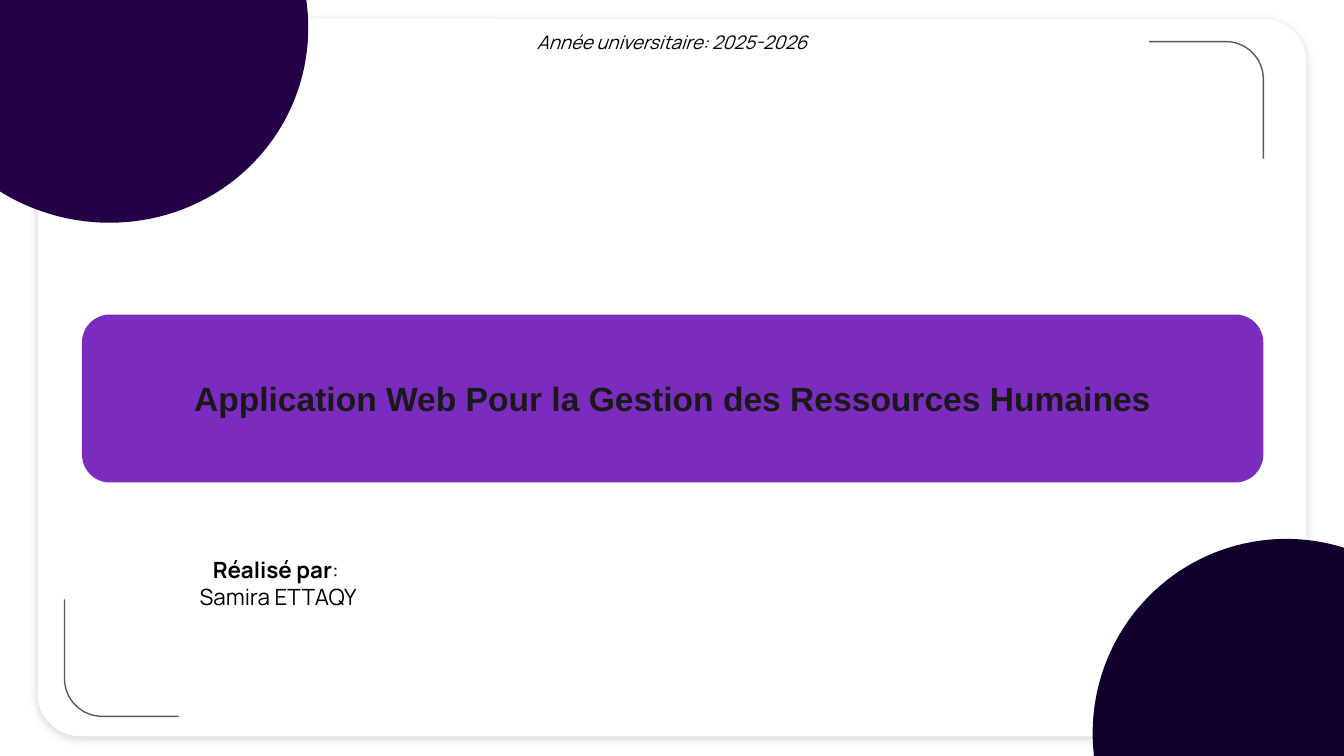
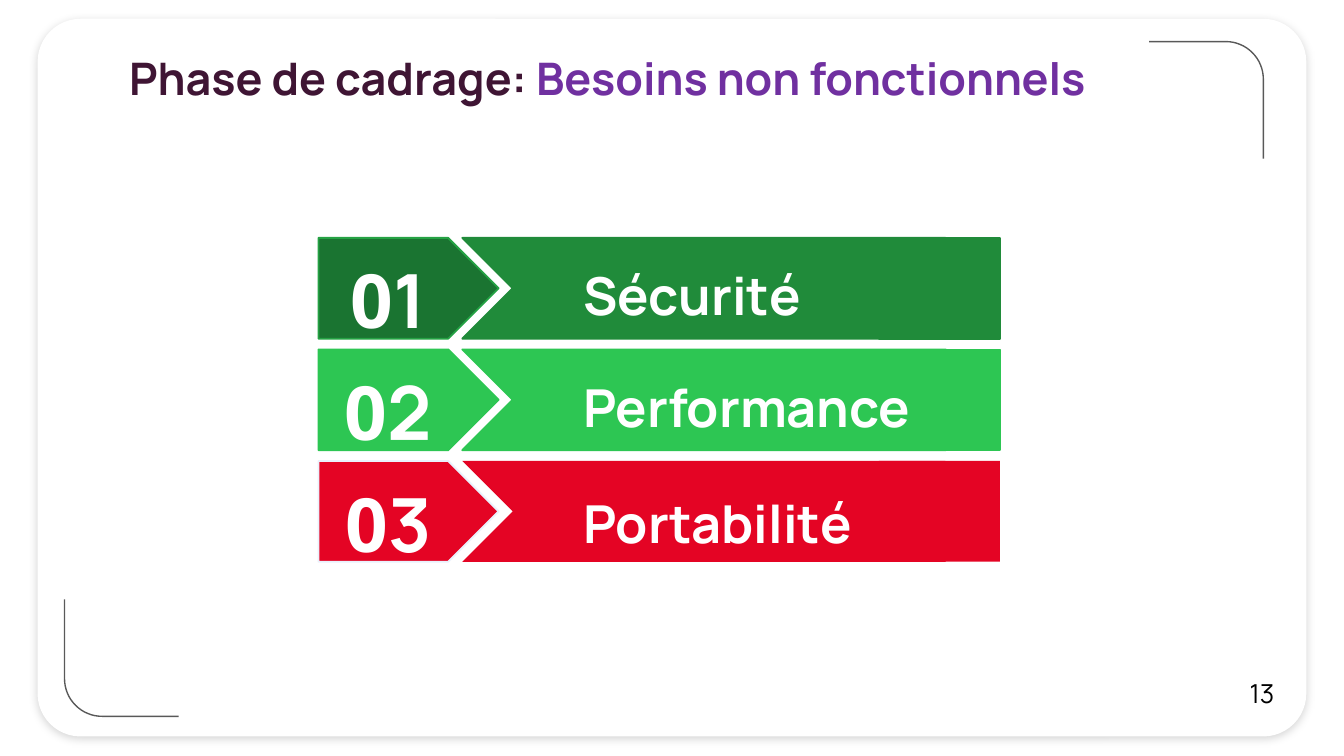
from math import cos, pi, sin

from pptx import Presentation
from pptx.dml.color import RGBColor
from pptx.enum.shapes import MSO_SHAPE
from pptx.enum.text import MSO_ANCHOR, MSO_AUTO_SIZE, PP_ALIGN
from pptx.oxml import parse_xml
from pptx.oxml.ns import nsdecls
from pptx.util import Inches, Pt

ROUND, OVAL, RECT = MSO_SHAPE.ROUNDED_RECTANGLE, MSO_SHAPE.OVAL, MSO_SHAPE.RECTANGLE
ARROW, CHEVRON = MSO_SHAPE.PENTAGON, MSO_SHAPE.CHEVRON
LEFT, CENTER = PP_ALIGN.LEFT, PP_ALIGN.CENTER
TOP, MIDDLE = MSO_ANCHOR.TOP, MSO_ANCHOR.MIDDLE
NO_FIT = MSO_AUTO_SIZE.NONE

WHITE = RGBColor(0xFF, 0xFF, 0xFF)
BLACK = RGBColor(0x00, 0x00, 0x00)
INK = RGBColor(0x19, 0x19, 0x19)
GRAY = RGBColor(0x59, 0x59, 0x59)
NIGHT = RGBColor(0x10, 0x00, 0x2B)
INDIGO = RGBColor(0x24, 0x00, 0x46)
VIOLET = RGBColor(0x7B, 0x2C, 0xBF)
PURPLE = RGBColor(0x70, 0x30, 0xA0)
PLUM = RGBColor(0x3F, 0x15, 0x34)
PINE = RGBColor(0x1A, 0x74, 0x31)
FERN = RGBColor(0x25, 0xA2, 0x44)
LEAF = RGBColor(0x20, 0x8B, 0x3A)
LIME = RGBColor(0x2D, 0xC6, 0x53)
RED = RGBColor(0xE4, 0x04, 0x24)
PALE = RGBColor(0xEA, 0xF1, 0xFC)

# The grid has 100 columns and 56.25 rows of square cells.
COLS, ROWS = 100, 56.25
CELL = Inches(0.1)

YEAR = {"size": Pt(10), "italic": True}
NAME = {"size": Pt(12)}
COVER = {"size": Pt(18), "bold": True, "name": "Arial"}
HEAD = {"size": Pt(24), "bold": True}
LABEL = {"size": Pt(28), "bold": True}
DIGIT = {"size": Pt(40), "bold": True}
PAGE = {"size": Pt(14)}

SHADOW = (
    f'<a:effectLst {nsdecls("a")}><a:outerShdw blurRad="57150" dist="19050" '
    'dir="5400000" algn="bl" rotWithShape="0"><a:srgbClr val="000000">'
    '<a:alpha val="17000"/></a:srgbClr></a:outerShdw></a:effectLst>'
)


def grid(*cells):
    return [round(cell * CELL) for cell in cells]


class Deck:
    """Holds the shared style and the slide being drawn."""

    font = "Manrope"

    def __init__(self):
        self.prs = Presentation()
        self.prs.slide_width, self.prs.slide_height = grid(COLS, ROWS)
        self.slide = None

    def page(self):
        """Start a slide with the white card behind everything."""
        self.slide = self.prs.slides.add_slide(self.prs.slide_layouts[5])
        card = self.shape(ROUND, (2.8, 1.4, 94.4, 53.4), WHITE)
        card.adjustments[0] = 0.06
        props = card._element.spPr
        props.replace(props[-1], parse_xml(SHADOW))

    def shape(self, kind, box, fill, line=None, group=None):
        home = (group or self.slide).shapes
        item = home.add_shape(kind, *grid(*box))
        item.fill.solid()
        item.fill.fore_color.rgb = fill
        if line is None:
            item.line.fill.background()
        else:
            item.line.color.rgb = line
            item.line.width = Pt(1)
        item.shadow.inherit = False
        return item

    def corners(self):
        """Draw the two facing rounded brackets."""
        wide, high, bend = 8.5, 8.7, 2.8
        turns = [pi / 2 * step / 16 for step in range(17)]
        arc = [(wide - bend + bend * sin(t), bend - bend * cos(t)) for t in turns]
        for left, top, turn in ((85.5, 3.1, 0), (4.8, 44.6, 180)):
            pen = self.slide.shapes.build_freeform(*grid(left, top))
            dots = arc + [(wide, high)]
            pen.add_line_segments([grid(left + x, top + y) for x, y in dots], False)
            item = pen.convert_to_shape()
            item.rotation = turn
            item.fill.background()
            item.line.color.rgb = GRAY
            item.line.width = Pt(0.75)
            item.shadow.inherit = False

    def set_text(self, item, paras, look, align, anchor, pad=0.5):
        """Fill a text shape; each paragraph is a list of (text, colour, extra format)."""
        frame = item.text_frame
        frame.auto_size = NO_FIT
        side, edge = grid(1, pad)
        style = {"word_wrap": True, "vertical_anchor": anchor,
                 "margin_left": side, "margin_right": side,
                 "margin_top": edge, "margin_bottom": edge}
        for key, value in style.items():
            setattr(frame, key, value)
        for index, runs in enumerate(paras):
            para = frame.add_paragraph() if index else frame.paragraphs[0]
            para.alignment = align
            for text, color, extra in runs:
                run = para.add_run()
                run.text = text
                form = {"name": self.font, "bold": False} | look | extra
                for key, value in form.items():
                    setattr(run.font, key, value)
                run.font.color.rgb = color

    def text(self, box, paras, look, align=LEFT):
        item = self.slide.shapes.add_textbox(*grid(*box))
        self.set_text(item, paras, look, align, TOP)

    def title(self, box, runs, look, align=LEFT):
        item = self.slide.shapes.title
        item.left, item.top, item.width, item.height = grid(*box)
        self.set_text(item, [runs], look, align, MIDDLE, 1)
        self.slide.shapes._spTree.append(item._element)

    def band(self, row, label, dark, fill, edge, line):
        """Draw one numbered band of the list."""
        high, top = 7.5, 17.7 + 8.3 * row
        self.shape(ARROW, (23.7, top, 13.4, high), dark, edge)
        body = self.slide.shapes.add_group_shape()
        self.shape(CHEVRON, (34.4, top, 39.7, high), fill, line, body)
        self.shape(RECT, (65.4, top, 9, high), fill, line, body)
        digits = [("0", WHITE, {"name": "Open Sans"}), (str(row + 1), WHITE, {})]
        self.text((24.3, 18.4 + 8.35 * row, 9.2, 6.2), [digits], DIGIT, CENTER)
        drop = 1.8 if row == 2 else 1.4
        self.text((42.4, top + drop, 28.9, 5.7), [[(label, WHITE, {})]], LABEL)


def cover(deck):
    deck.page()
    disc = deck.shape(OVAL, (-7.3, -13, 30.3, 29.5), INDIGO)
    disc.rotation = 204.8
    deck.shape(OVAL, (81.3, 40.1, 28.8, 28.9), NIGHT)
    deck.corners()
    deck.text((21.8, 1.8, 56.4, 2.7),
              [[("Année universitaire: 2025-2026", BLACK, {})]], YEAR, CENTER)
    deck.text((7.8, 40.9, 25.8, 5),
              [[("Réalisé par", BLACK, {"bold": True}), (": ", BLACK, {})],
               [("Samira ETTAQY", BLACK, {})]], NAME, CENTER)
    box = (6.1, 23.4, 87.9, 12.5)
    deck.shape(ROUND, box, VIOLET)
    deck.title(box, [("Application Web Pour la Gestion des Ressources Humaines",
                      INK, {})], COVER, CENTER)


def needs(deck):
    deck.page()
    deck.corners()
    deck.title((8.6, 2.7, 78.7, 6.1),
               [("Phase de cadrage: ", PLUM, {}),
                ("Besoins non fonctionnels", PURPLE, {})], HEAD)
    bands = (("Sécurité", PINE, LEAF, FERN, LEAF),
             ("Performance", LIME, LIME, LIME, LIME),
             ("Portabilité", RED, RED, PALE, None))
    for row, band in enumerate(bands):
        deck.band(row, *band)
    deck.text((92, 49.9, 4, 3.4), [[("13", BLACK, {})]], PAGE)


def main():
    deck = Deck()
    cover(deck)
    needs(deck)
    deck.prs.save("out.pptx")


if __name__ == "__main__":
    main()
